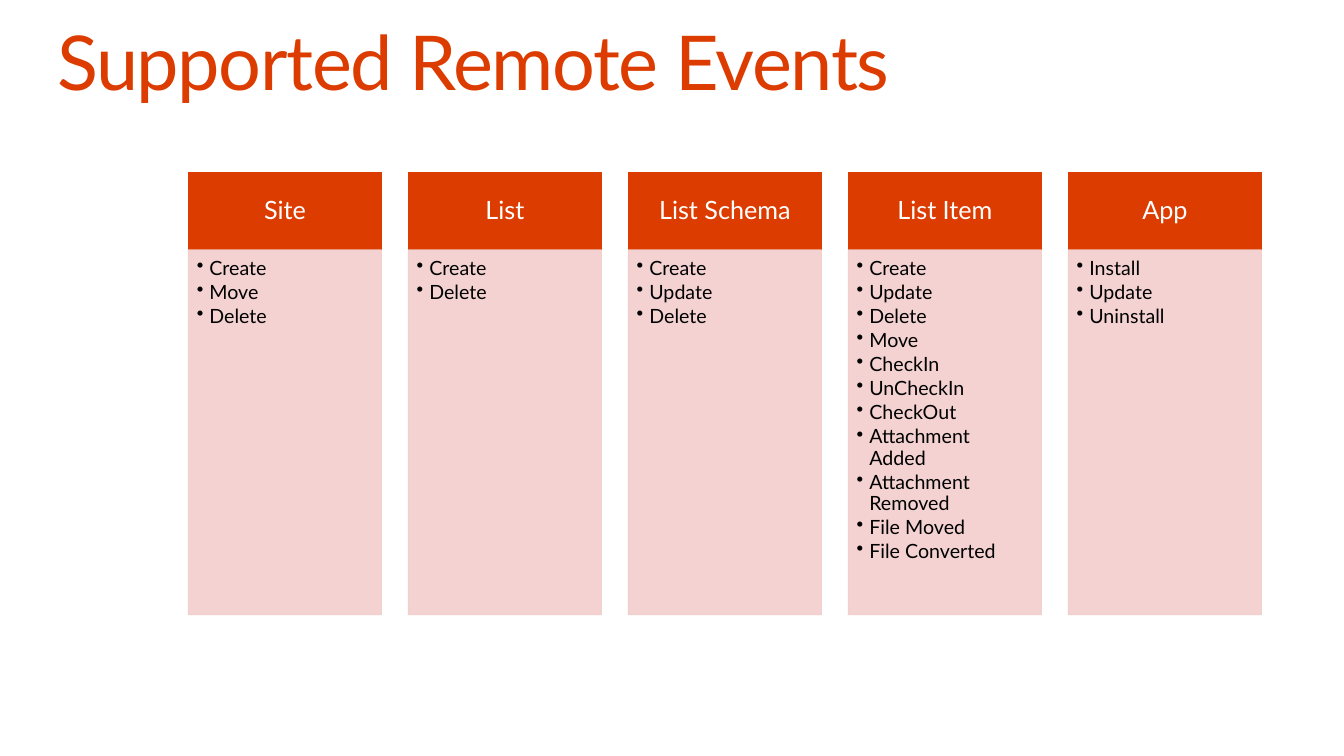
import pptx
import pptx.dml.color
import pptx.enum.shapes
import pptx.enum.text
import pptx.oxml.ns
import pptx.util
from lxml import etree

Pt = pptx.util.Pt
ALIGN = pptx.enum.text.PP_ALIGN
ANCHOR = pptx.enum.text.MSO_ANCHOR

FONT = "Lato"
COLORS = {"accent": "DC3C00", "panel": "F2CECC", "white": "FFFFFF", "black": "000000"}
LEFT, PITCH, WIDTH = 134.64, 157.14, 137.8
HEADER_TOP, HEADER_HEIGHT, PANEL_HEIGHT = 123.1, 55.4, 260.6
EVENTS = {
    "Site": ["Create", "Move", "Delete"],
    "List": ["Create", "Delete"],
    "List Schema": ["Create", "Update", "Delete"],
    "List Item": [
        "Create", "Update", "Delete", "Move", "CheckIn", "UnCheckIn", "CheckOut",
        "Attachment Added", "Attachment Removed", "File Moved", "File Converted",
    ],
    "App": ["Install", "Update", "Uninstall"],
}


def rgb(name):
    return pptx.dml.color.RGBColor.from_string(COLORS[name])


def set_frame(tf, anchor, insets):
    tf.word_wrap = True
    tf.auto_size = pptx.enum.text.MSO_AUTO_SIZE.NONE
    tf.vertical_anchor = anchor
    tf.margin_left, tf.margin_top, tf.margin_right, tf.margin_bottom = map(Pt, insets)


def add_run(p, text, size, color):
    p.line_spacing = 0.9
    r = p.add_run()
    r.text = text
    r.font.name = FONT
    r.font.size = Pt(size)
    r.font.color.rgb = rgb(color)
    return r


def set_bullet(p, indent):
    pPr = p._p.get_or_add_pPr()
    pPr.set("marL", str(Pt(indent)))
    pPr.set("indent", str(-Pt(indent)))
    etree.SubElement(pPr, pptx.oxml.ns.qn("a:buChar")).set("char", "•")


def add_box(s, left, top, height, color):
    sp = s.shapes.add_shape(
        pptx.enum.shapes.MSO_SHAPE.RECTANGLE, Pt(left), Pt(top), Pt(WIDTH), Pt(height))
    sp.shadow.inherit = False
    sp.fill.solid()
    sp.fill.fore_color.rgb = rgb(color)
    sp.line.color.rgb = rgb(color)
    sp.line.width = Pt(0.75)
    return sp


def set_opacity(sp, percent):
    for clr in sp._element.spPr.iter(pptx.oxml.ns.qn("a:srgbClr")):
        etree.SubElement(clr, pptx.oxml.ns.qn("a:alpha")).set("val", str(percent * 1000))


def add_header(s, left, text):
    sp = add_box(s, left, HEADER_TOP, HEADER_HEIGHT, "accent")
    set_frame(sp.text_frame, ANCHOR.MIDDLE, (10, 5.7, 10, 5.7))
    p = sp.text_frame.paragraphs[0]
    p.alignment = ALIGN.CENTER
    add_run(p, text, 18, "white")


def add_panel(s, left, events):
    sp = add_box(s, left, HEADER_TOP + HEADER_HEIGHT, PANEL_HEIGHT, "panel")
    set_opacity(sp, 90)
    tf = sp.text_frame
    set_frame(tf, ANCHOR.TOP, (5.9, 5.9, 7.9, 8.8))
    for i, event in enumerate(events):
        p = tf.add_paragraph() if i else tf.paragraphs[0]
        set_bullet(p, 9)
        p.alignment = ALIGN.LEFT
        p.space_after = Pt(2.1)
        add_run(p, event, 14, "black")


def set_title(s, text):
    sp = s.shapes.title
    sp.left, sp.top, sp.width, sp.height = Pt(41), Pt(18), Pt(878), Pt(59)
    set_frame(sp.text_frame, ANCHOR.TOP, (0, 0, 0, 0))
    p = sp.text_frame.paragraphs[0]
    p.alignment = ALIGN.LEFT
    r = add_run(p, text, 54, "accent")
    r._r.get_or_add_rPr().set("spc", "-100")


def main():
    """Build the slide of remote events and save it."""
    prs = pptx.Presentation()
    prs.slide_width, prs.slide_height = Pt(960), Pt(540)
    s = prs.slides.add_slide(prs.slide_layouts[5])
    set_title(s, "Supported Remote Events")
    for i, (name, events) in enumerate(EVENTS.items()):
        left = LEFT + i * PITCH
        add_header(s, left, name)
        add_panel(s, left, events)
    prs.save("out.pptx")


if __name__ == "__main__":
    main()
